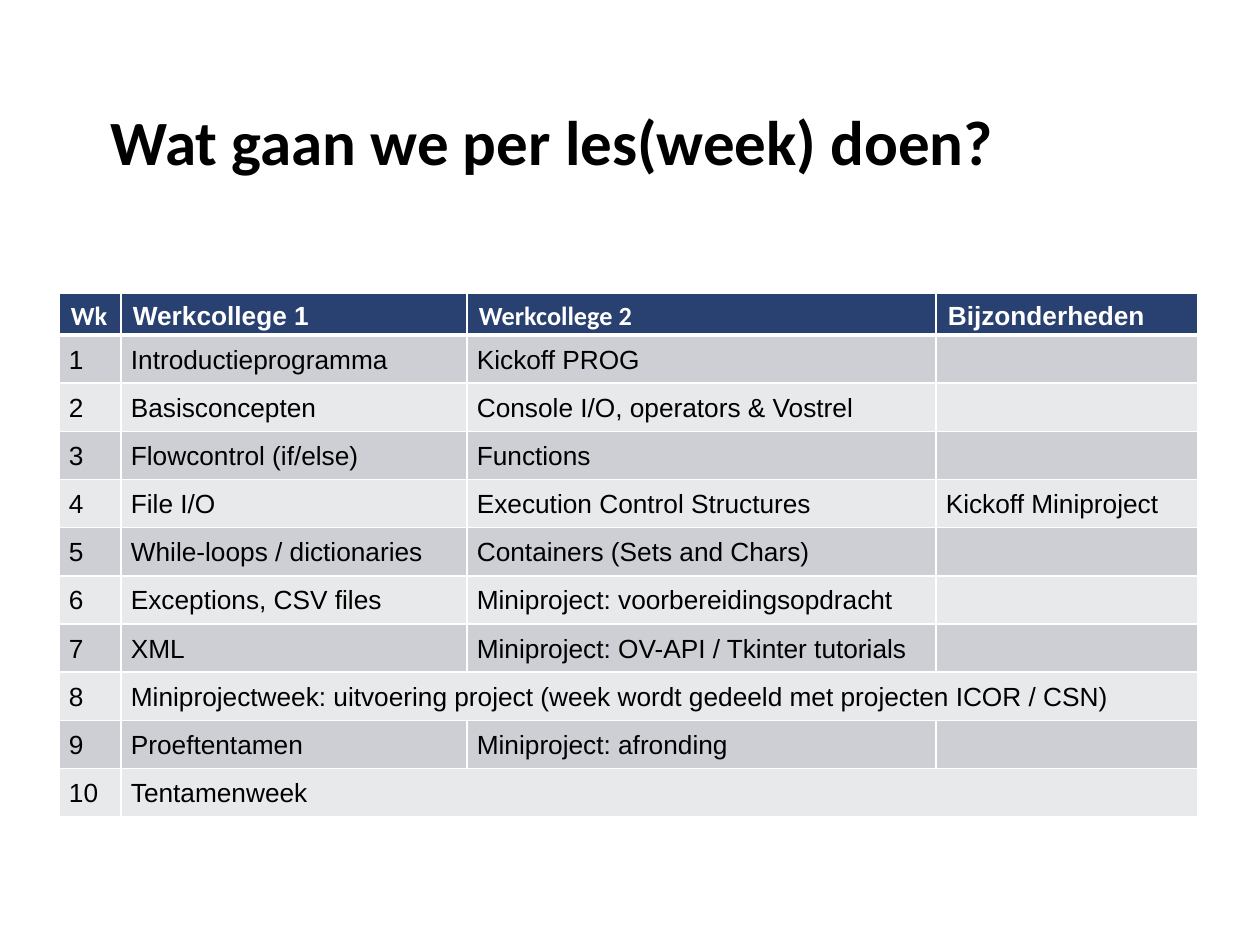
"""Build the weekly lesson plan slide."""
import pptx
import pptx.dml.color
import pptx.enum.text
import pptx.oxml
import pptx.oxml.ns
import pptx.util

RGB = pptx.dml.color.RGBColor
ALIGN = pptx.enum.text.PP_ALIGN
ANCHOR = pptx.enum.text.MSO_ANCHOR

TITLE = "Wat gaan we per les(week) doen?"
HEAD = ("Wk", "Werkcollege 1", "Werkcollege 2", "Bijzonderheden")
WEEKS = [
    ("Introductieprogramma", "Kickoff PROG", ""),
    ("Basisconcepten", "Console I/O, operators & Vostrel", ""),
    ("Flowcontrol (if/else)", "Functions", ""),
    ("File I/O", "Execution Control Structures", "Kickoff Miniproject"),
    ("While-loops / dictionaries", "Containers (Sets and Chars)", ""),
    ("Exceptions, CSV files", "Miniproject: voorbereidingsopdracht", ""),
    ("XML", "Miniproject: OV-API / Tkinter tutorials", ""),
    ("Miniprojectweek: uitvoering project (week wordt gedeeld met projecten ICOR / CSN)",),
    ("Proeftentamen", "Miniproject: afronding", ""),
    ("Tentamenweek",),
]
BLACK = RGB(0, 0, 0)
WHITE = RGB(255, 255, 255)
NAVY = RGB(0x29, 0x41, 0x71)
DARK = RGB(0xCD, 0xCF, 0xD5)
LIGHT = RGB(0xE8, 0xE9, 0xEB)
WIDTHS = (62, 346, 469, 262)
LEFT, TOP, HEAD_H, ROW_H = 59, 293, 42, 47
SCALE = 914400 / 126


def px(num):
    return pptx.util.Emu(round(num * SCALE))


def apply(obj, **values):
    for name, value in values.items():
        setattr(obj, name, value)


def write(frame, text, face, size, color, bold):
    para = frame.paragraphs[0]
    run = para.add_run()
    run.text = text
    apply(run.font, name=face, size=pptx.util.Pt(size), bold=bold)
    run.font.color.rgb = color
    return para


def border(cell, top, bottom):
    props = cell._tc.get_or_add_tcPr()
    for side, width in zip("LRTB", (1, 1, top, bottom)):
        props.append(pptx.oxml.parse_xml(
            f'<a:ln{side} {pptx.oxml.ns.nsdecls("a")} w="{width * 12700}">'
            f'<a:solidFill><a:srgbClr val="{WHITE}"/></a:solidFill></a:ln{side}>'))


def style(cell, text, row, face):
    head = row == 0
    border(cell, 3 if row == 1 else 1, 3 if head else 1)
    cell.fill.solid()
    cell.fill.fore_color.rgb = NAVY if head else DARK if row % 2 else LIGHT
    side, edge = (12, 0) if head else (10, 6 if text else 0)
    apply(cell, margin_left=px(side), margin_right=px(side),
          margin_top=px(edge), margin_bottom=px(edge),
          vertical_anchor=ANCHOR.MIDDLE if head else ANCHOR.TOP)
    if text:
        para = write(cell.text_frame, text, face, 15, WHITE if head else BLACK, head)
        apply(para, alignment=ALIGN.JUSTIFY, line_spacing=1.15,
              space_after=pptx.util.Pt(6))


def add_title(slide):
    box = slide.shapes.add_textbox(px(98), px(0), px(1071), px(203))
    apply(box.text_frame, word_wrap=True, vertical_anchor=ANCHOR.MIDDLE,
          margin_top=px(83))
    write(box.text_frame, TITLE, "Calibri", 36, BLACK, True)


def add_plan(slide):
    rows = [HEAD] + [(str(num), *week) for num, week in enumerate(WEEKS, 1)]
    count = len(WIDTHS)
    high = HEAD_H + ROW_H * len(WEEKS)
    table = slide.shapes.add_table(len(rows), count, px(LEFT), px(TOP),
                                   px(sum(WIDTHS)), px(high)).table
    apply(table, first_row=False, horz_banding=False)
    for col, width in zip(table.columns, WIDTHS):
        col.width = px(width)
    for row, texts in enumerate(rows):
        table.rows[row].height = px(ROW_H if row else HEAD_H)
        if len(texts) < count:
            table.cell(row, 1).merge(table.cell(row, count - 1))
        for col in range(count):
            text = texts[col] if col < len(texts) else ""
            face = "Calibri" if row == 0 and col in (0, 2) else "Arial"
            style(table.cell(row, col), text, row, face)


def main():
    deck = pptx.Presentation()
    apply(deck, slide_width=px(1260), slide_height=px(945))
    slide = deck.slides.add_slide(deck.slide_layouts[6])
    add_title(slide)
    add_plan(slide)
    deck.save("out.pptx")


if __name__ == "__main__":
    main()
